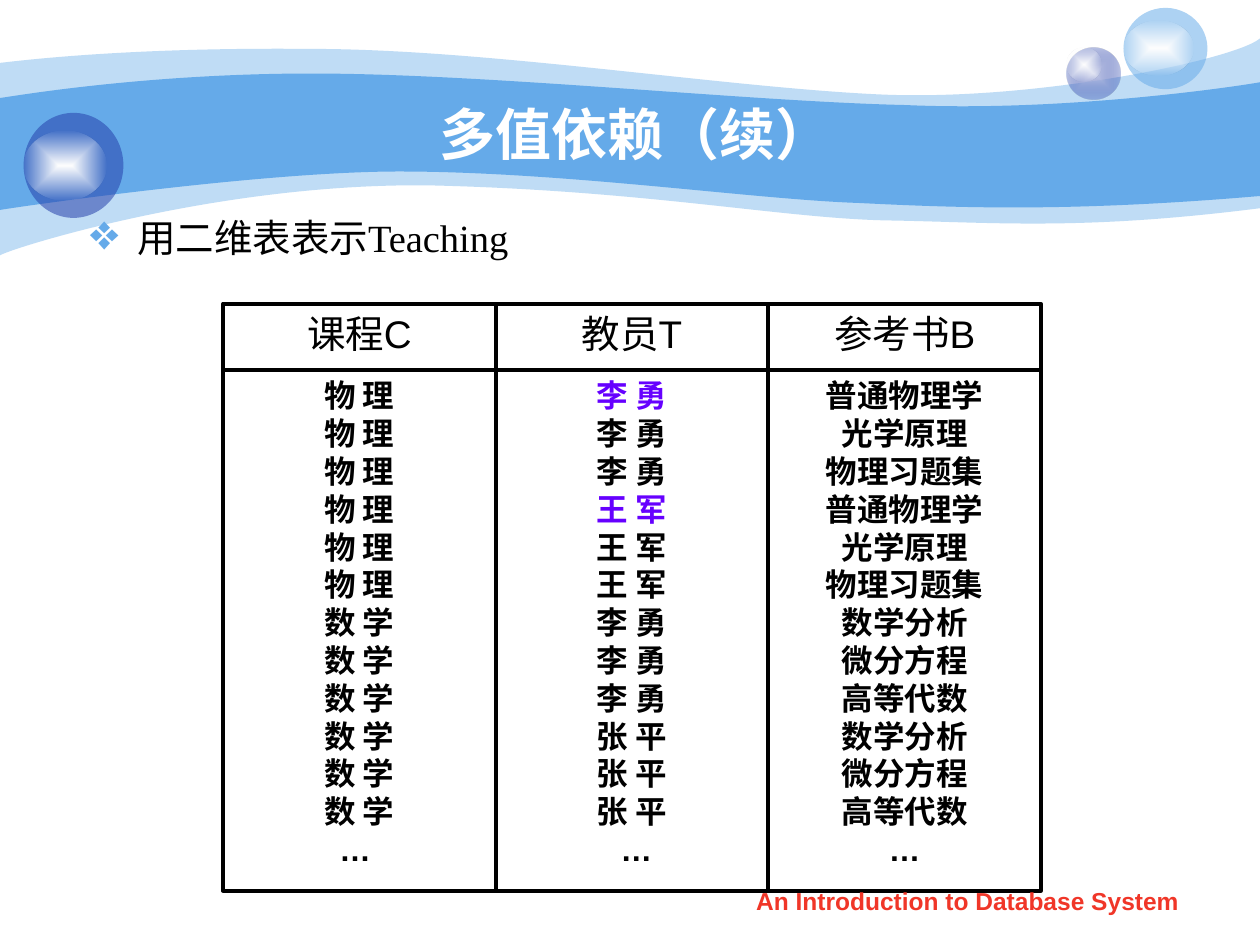
from dataclasses import dataclass
from itertools import chain
from typing import NamedTuple

from lxml.etree import SubElement
from pptx import Presentation
from pptx.dml.color import RGBColor
from pptx.enum.shapes import MSO_CONNECTOR as Connector, MSO_SHAPE as Shape
from pptx.enum.text import MSO_ANCHOR as Anchor, PP_ALIGN as Align
from pptx.oxml import parse_xml
from pptx.oxml.ns import nsdecls, qn
from pptx.util import Pt


@dataclass(frozen=True)
class Theme:
    sky: str = "65AAE9"
    navy: str = "233DA9"
    lilac: str = "C6CCE8"
    white: str = "FFFFFF"
    glow_edge: str = "FEFEFE"
    black: str = "000000"
    violet: str = "6600FF"
    red: str = "F03628"
    sans: str = "Arial"
    serif: str = "Times New Roman"
    title_size: float = 32
    head_size: float = 22
    body_size: float = 18
    footer_size: float = 14
    rule: float = 2.25


class Box(NamedTuple):
    left: float
    top: float
    width: float
    height: float

    def lengths(self) -> list:
        return [Pt(value) for value in self]


class Stop(NamedTuple):
    color: str
    opacity: int


class Wave(NamedTuple):
    """A closed band: start, curves (two controls and an end), straight drop to the lower edge."""
    start: tuple
    upper: list
    corner: tuple
    lower: list
    opacity: int


class Bubble(NamedTuple):
    box: Box
    stops: list  # one stop is a plain fill, two run from centre to edge


class Style(NamedTuple):
    font: str
    size: float
    color: str
    bold: bool = False


class Column(NamedTuple):
    heading: str
    entries: list
    highlighted: tuple = ()


THEME = Theme()
GLOW = [Stop(THEME.white, 100), Stop(THEME.glow_edge, 0)]

# Wave coordinates are points on the slide.
WAVES = [
    Wave((0, 36),
         [((17, 34), (77, 27), (178, 28)), ((278, 28), (414, 50), (503, 54)),
          ((592, 58), (706, 34), (720, 22))],
         (720, 119),
         [((618, 132), (567, 127), (508, 126)), ((448, 125), (371, 109), (247, 106.5)),
          ((124, 104), (3, 143), (0.5, 146)), ((-0.5, 150), (0, 54), (0, 36))], 41),
    Wave((0.5, 55.5),
         [((1.5, 55.5), (79, 42), (178.5, 42.5)), ((278, 42.5), (428, 57.5), (517, 60.5)),
          ((605.5, 63.5), (703, 49.5), (720, 47))],
         (720, 111.5),
         [((614, 121), (551, 119), (491, 116)), ((431, 114), (322, 98), (228, 98.5)),
          ((146, 98.5), (-1.5, 119.5), (-0.5, 119.5)), ((0, 119.5), (0, 55.5), (0.5, 55.5))],
         100),
]

BUBBLES = [
    Bubble(Box(609.5, 27, 31, 29.5), [Stop(THEME.lilac, 100), Stop(THEME.navy, 31)]),
    Bubble(Box(609.5, 27, 20, 19.5), GLOW),
    Bubble(Box(642, 4.5, 48, 46.5), [Stop(THEME.sky, 53)]),
    Bubble(Box(642, 12, 40, 31), GLOW),
    Bubble(Box(13.5, 64.5, 57, 60), [Stop(THEME.navy, 53)]),
    Bubble(Box(13.5, 74.5, 47.5, 40), GLOW),
]

PHYSICS_BOOKS = ["普通物理学", "光学原理", "物理习题集"]
MATHS_BOOKS = ["数学分析", "微分方程", "高等代数"]
COLUMNS = [
    Column("课程C", ["物 理"] * 6 + ["数 学"] * 6 + ["… "]),
    Column("教员T", ["李 勇"] * 3 + ["王 军"] * 3 + ["李 勇"] * 3 + ["张 平"] * 3 + [" …"], (0, 3)),
    Column("参考书B", PHYSICS_BOOKS * 2 + MATHS_BOOKS * 2 + ["…"]),
]
GRID_LEFT, COLUMN_WIDTH = 127.5, 155.8
GRID_TOP, HEAD_BOTTOM, GRID_BOTTOM = 173.5, 211.5, 509


def color_xml(stop: Stop) -> str:
    return f'<a:srgbClr val="{stop.color}"><a:alpha val="{stop.opacity * 1000}"/></a:srgbClr>'


def paint(shape, stops: list) -> None:
    """Fill with one colour, or with a rectangular gradient from the centre."""
    shape.shadow.inherit = False
    shape.line.fill.background()
    if len(stops) == 1:
        xml = f'<a:solidFill {nsdecls("a")}>{color_xml(stops[0])}</a:solidFill>'
    else:
        marks = "".join(f'<a:gs pos="{index * 100000}">{color_xml(stop)}</a:gs>'
                        for index, stop in enumerate(stops))
        xml = (f'<a:gradFill {nsdecls("a")} rotWithShape="1"><a:gsLst>{marks}</a:gsLst>'
               '<a:path path="rect"><a:fillToRect l="50000" t="50000" r="50000" b="50000"/>'
               '</a:path></a:gradFill>')
    shape.line._ln.addprevious(parse_xml(xml))


def bend(shape, straight: int) -> None:
    """Join line segments by threes into cubic curves, leaving the one at index straight."""
    segments = list(shape._element.iter(qn("a:lnTo")))
    del segments[straight]
    for index in range(0, len(segments) // 3 * 3, 3):
        curve = parse_xml(f'<a:cubicBezTo {nsdecls("a")}/>')
        segments[index].addprevious(curve)
        for segment in segments[index:index + 3]:
            curve.append(segment[0])
            segment.getparent().remove(segment)


def draw_wave(page, wave: Wave) -> None:
    upper, lower = (list(chain.from_iterable(part)) for part in (wave.upper, wave.lower))
    builder = page.shapes.build_freeform(*wave.start, scale=float(Pt(1)))
    builder.add_line_segments(upper + [wave.corner] + lower, close=True)
    band = builder.convert_to_shape()
    bend(band, len(upper))
    paint(band, [Stop(THEME.sky, wave.opacity)])


def draw_bubble(page, bubble: Bubble) -> None:
    paint(page.shapes.add_shape(Shape.OVAL, *bubble.box.lengths()), bubble.stops)


def write(para, text: str, style: Style, align=Align.CENTER) -> None:
    para.text = text
    para.alignment = align
    for span in para.runs:
        span.font.name = style.font
        span.font.size = Pt(style.size)
        span.font.bold = style.bold
        span.font.color.rgb = RGBColor.from_string(style.color)


def add_text(page, box: Box, text: str, style: Style, align=Align.CENTER, anchor=Anchor.TOP):
    frame = page.shapes.add_textbox(*box.lengths()).text_frame
    frame.word_wrap = True
    frame.vertical_anchor = anchor
    write(frame.paragraphs[0], text, style, align)
    return frame.paragraphs[0]


def add_bullet(para, mark: str, color: str, indent: float) -> None:
    properties = para._p.get_or_add_pPr()
    properties.set("marL", str(Pt(indent)))
    properties.set("indent", str(-Pt(indent)))
    SubElement(SubElement(properties, qn("a:buClr")), qn("a:srgbClr")).set("val", color)
    SubElement(properties, qn("a:buSzPct")).set("val", "130000")
    SubElement(properties, qn("a:buChar")).set("char", mark)


def set_rule(line) -> None:
    line.color.rgb = RGBColor.from_string(THEME.black)
    line.width = Pt(THEME.rule)


def draw_panel(page, box: Box, texts: list, style: Style, highlighted: tuple = ()) -> None:
    panel = page.shapes.add_shape(Shape.RECTANGLE, *box.lengths())
    panel.shadow.inherit = False
    panel.fill.background()
    set_rule(panel.line)
    frame = panel.text_frame
    frame.word_wrap = True
    frame.vertical_anchor = Anchor.TOP
    for index, text in enumerate(texts):
        para = frame.add_paragraph() if index else frame.paragraphs[0]
        write(para, text, style._replace(color=THEME.violet) if index in highlighted else style)


def draw_rule(page, x1: float, y1: float, x2: float, y2: float) -> None:
    rule = page.shapes.add_connector(Connector.STRAIGHT, Pt(x1), Pt(y1), Pt(x2), Pt(y2))
    set_rule(rule.line)
    SubElement(rule._element.spPr, qn("a:effectLst"))


def draw_grid(page) -> None:
    edges = [GRID_LEFT + COLUMN_WIDTH * index for index in range(len(COLUMNS) + 1)]
    placed = list(zip(edges, COLUMNS))[::-1]
    for left, column in placed:
        draw_panel(page, Box(left, HEAD_BOTTOM, COLUMN_WIDTH, GRID_BOTTOM - HEAD_BOTTOM),
                   column.entries, Style(THEME.sans, THEME.body_size, THEME.black, True),
                   column.highlighted)
    for left, column in placed:
        draw_panel(page, Box(left, GRID_TOP, COLUMN_WIDTH, HEAD_BOTTOM - GRID_TOP),
                   [column.heading], Style(THEME.sans, THEME.head_size, THEME.black))
    for y in (HEAD_BOTTOM, GRID_BOTTOM):
        draw_rule(page, edges[0], y, edges[-1], y)
    for x in edges[1:]:
        draw_rule(page, x, GRID_TOP, x, GRID_BOTTOM)
    draw_rule(page, edges[0], HEAD_BOTTOM, edges[0], GRID_BOTTOM)
    draw_rule(page, edges[0], GRID_TOP, edges[0], HEAD_BOTTOM)


def main() -> None:
    deck = Presentation()
    deck.slide_width, deck.slide_height = Pt(720), Pt(540)
    page = deck.slides.add_slide(deck.slide_layouts[6])
    for wave in WAVES:
        draw_wave(page, wave)
    for bubble in BUBBLES:
        draw_bubble(page, bubble)
    draw_grid(page)
    add_text(page, Box(72.5, 54, 582, 44.5), "多值依赖（续）",
             Style(THEME.sans, THEME.title_size, THEME.white, True), anchor=Anchor.MIDDLE)
    lead = add_text(page, Box(44.5, 119, 260, 34), "用二维表表示Teaching",
                    Style(THEME.serif, THEME.head_size, THEME.black), Align.LEFT)
    add_bullet(lead, "❖", THEME.sky, 27)
    add_text(page, Box(411, 502.5, 284, 25), "An Introduction to Database System",
             Style(THEME.sans, THEME.footer_size, THEME.red, True))
    deck.save("out.pptx")


if __name__ == "__main__":
    main()
